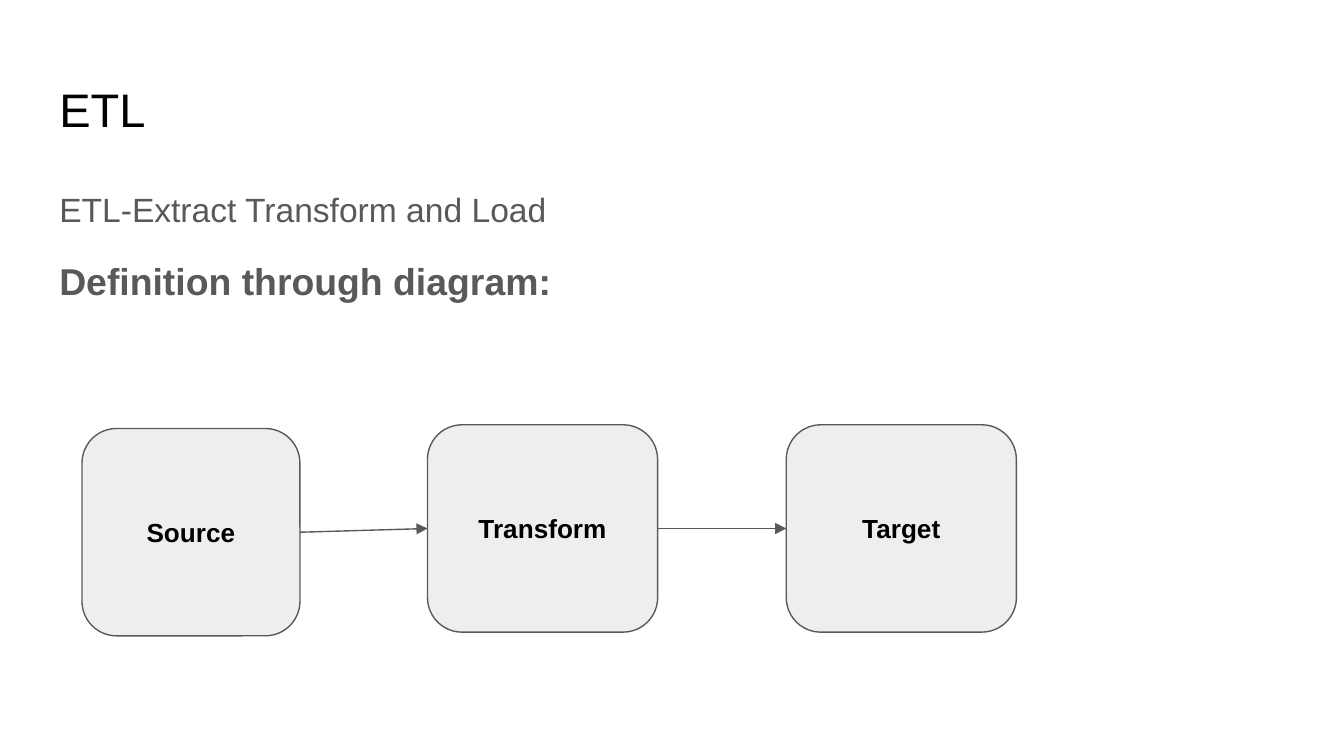
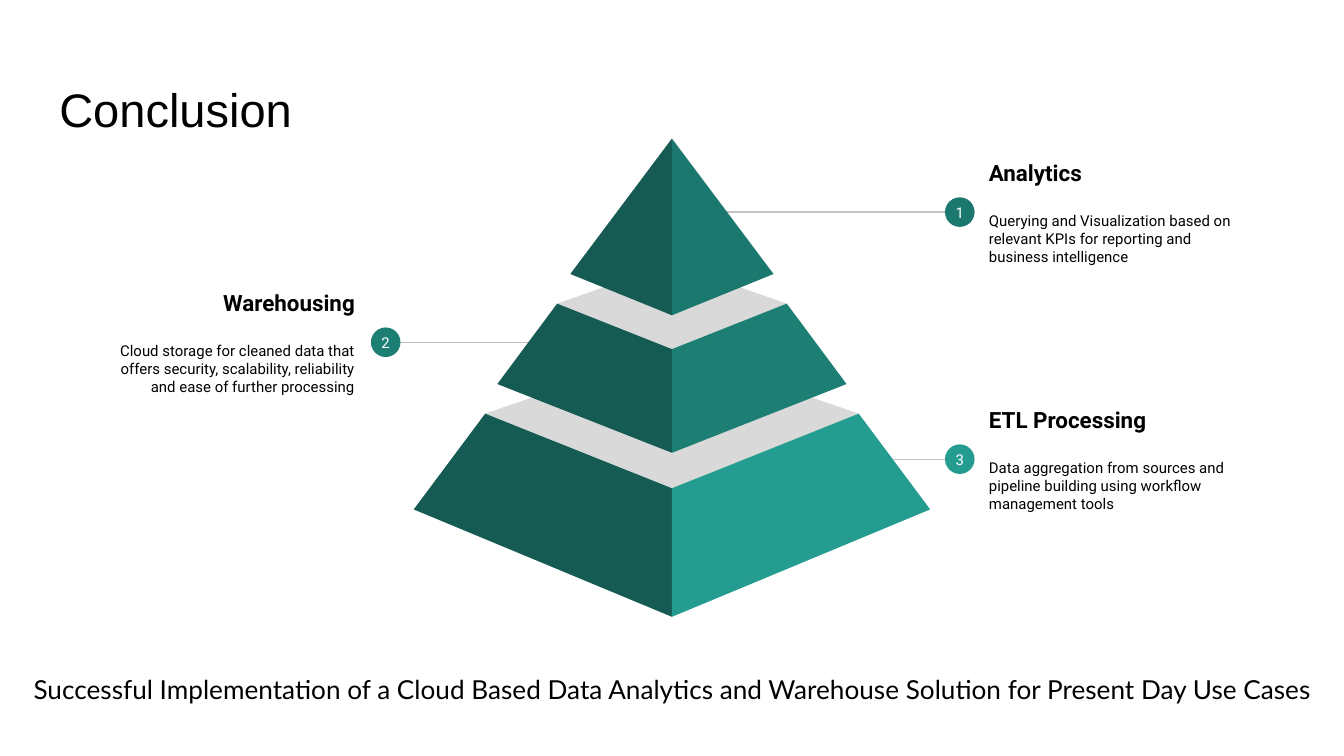
"""Builds two slides: an ETL flow diagram and a pyramid conclusion."""
from lxml import etree
from pptx import Presentation
from pptx import util as u
from pptx.dml.color import RGBColor
from pptx.enum import shapes, text
from pptx.oxml.ns import qn

COLORS = {
    "black": "000000", "white": "FFFFFF", "grey": "595959", "box": "EEEEEE",
    "rule": "C2C2C2", "cap": "D9D9D9", "dark": "155B54",
    "top": "1B786E", "middle": "1D7E74", "base": "249C90",
}
CENTER = 12.7
INSET = 0.25
LEFT, MID, RIGHT = text.PP_ALIGN.LEFT, text.PP_ALIGN.CENTER, text.PP_ALIGN.RIGHT

STEPS = [("Source", 1.55, 8.1, 4.12), ("Transform", 8.08, 8.03, 4.35),
         ("Target", 14.86, 8.03, 4.35)]

# Offsets are (distance from the centre line, height on the slide).
TIERS = [
    ("base", [(3.53, 7.82), (4.88, 9.63), (0, 11.66), (0, 9.23)], 6.6),
    ("middle", [(2.17, 5.74), (3.3, 7.26), (0, 8.56), (0, 6.6)], 4.98),
    ("top", [(0, 2.62), (1.92, 5.18), (0, 5.96)], None),
]

NOTES = [
    ("3", "base", 8.68, 16.76, RIGHT, "ETL Processing",
     "Data aggregation from sources and pipeline building using workflow "
     "management tools"),
    ("2", "middle", 6.47, 10.08, LEFT, "Warehousing",
     "Cloud storage for cleaned data that offers security, scalability, "
     "reliability and ease of further processing"),
    ("1", "top", 4.01, 13.64, RIGHT, "Analytics",
     "Querying and Visualization based on relevant KPIs for reporting and "
     "business intelligence"),
]


def rgb(name):
    """Return the named colour."""
    return RGBColor.from_string(COLORS[name])


def place(sp, x, y, w, h):
    """Move and size a shape, in centimetres."""
    sp.left, sp.top, sp.width, sp.height = (u.Cm(v) for v in (x, y, w, h))


def setup_frame(sp, anchor, inset=INSET):
    """Set wrapping, anchor and insets, and return the text frame."""
    tf = sp.text_frame
    tf.word_wrap = True
    tf.auto_size = text.MSO_AUTO_SIZE.NONE
    tf.vertical_anchor = anchor
    tf.margin_left = tf.margin_right = u.Cm(inset)
    tf.margin_top = tf.margin_bottom = u.Cm(inset)
    return tf


def write(p, words, size, font="Arial", color="black", bold=False,
          align=LEFT, before=0, spacing=1.0):
    """Fill a paragraph with one formatted run."""
    p.alignment = align
    p.space_before = u.Pt(before)
    p.line_spacing = spacing
    r = p.add_run()
    r.text = words
    r.font.size, r.font.name, r.font.bold = u.Pt(size), font, bold
    r.font.color.rgb = rgb(color)


def paint(sp, fill, line=None):
    """Give a shape a flat fill and an optional outline."""
    sp.shadow.inherit = False
    sp.fill.solid()
    sp.fill.fore_color.rgb = rgb(fill)
    if line:
        sp.line.color.rgb = rgb(line)
        sp.line.width = u.Pt(0.75)
    else:
        sp.line.fill.background()


def add_slide(prs, layout, title):
    """Add a slide with the shared title style."""
    s = prs.slides.add_slide(prs.slide_layouts[layout])
    place(s.shapes.title, 0.87, 1.25, 23.67, 1.6)
    tf = setup_frame(s.shapes.title, text.MSO_ANCHOR.MIDDLE)
    write(tf.paragraphs[0], title, 25.2)
    return s


def add_body(s, items):
    """Fill the body placeholder with plain (words, size, bold) lines."""
    sp = s.placeholders[1]
    place(sp, 0.87, 3.2, 23.67, 9.5)
    tf = setup_frame(sp, text.MSO_ANCHOR.TOP)
    for i, (words, size, bold) in enumerate(items):
        p = tf.add_paragraph() if i else tf.paragraphs[0]
        pPr = p._p.get_or_add_pPr()
        pPr.set("marL", "0")
        pPr.set("indent", "0")
        etree.SubElement(pPr, qn("a:buNone"))
        write(p, words, size, color="grey", bold=bold,
              before=12 if i else 0, spacing=1.15)


def add_textbox(s, x, y, w, h, anchor):
    """Add a text box and return its frame."""
    return setup_frame(
        s.shapes.add_textbox(u.Cm(x), u.Cm(y), u.Cm(w), u.Cm(h)), anchor)


def add_step(s, words, x, y, w):
    """Add one rounded box of the flow."""
    sp = s.shapes.add_shape(shapes.MSO_SHAPE.ROUNDED_RECTANGLE,
                            u.Cm(x), u.Cm(y), u.Cm(w), u.Cm(3.92))
    paint(sp, "box", "grey")
    tf = setup_frame(sp, text.MSO_ANCHOR.MIDDLE)
    write(tf.paragraphs[0], words, 14, bold=True, align=MID)
    return sp


def add_line(s, color, x1=0, y1=0, x2=0, y2=0):
    """Add a thin straight connector."""
    sp = s.shapes.add_connector(shapes.MSO_CONNECTOR.STRAIGHT,
                                u.Cm(x1), u.Cm(y1), u.Cm(x2), u.Cm(y2))
    sp.line.color.rgb = rgb(color)
    sp.line.width = u.Pt(0.75)
    etree.SubElement(sp._element.spPr, qn("a:effectLst"))
    return sp


def add_arrow(s, start, end):
    """Join the right side of one box to the left side of the next."""
    sp = add_line(s, "grey")
    sp.begin_connect(start, 3)
    sp.end_connect(end, 1)
    etree.SubElement(sp.line._get_or_add_ln(), qn("a:tailEnd"),
                     type="triangle")


def add_polygon(s, points, fill):
    """Add a closed outline through points in centimetres."""
    start, *rest = [(u.Cm(x), u.Cm(y)) for x, y in points]
    fb = s.shapes.build_freeform(*start)
    fb.add_line_segments(rest, close=True)
    paint(fb.convert_to_shape(), fill)


def add_tier(s, color, face, back):
    """Add one pyramid tier: a grey cap, if any, and two mirrored faces."""
    if back:
        half, y = face[0]
        add_polygon(s, [(CENTER - half, y), (CENTER, face[-1][1]),
                        (CENTER + half, y), (CENTER, back)], "cap")
    for side, fill in ((-1, "dark"), (1, color)):
        add_polygon(s, [(CENTER + side * dx, y) for dx, y in face], fill)


def add_note(s, number, color, y, line_x, side, heading, words):
    """Add a rule, a numbered badge and its label at height y."""
    size, label_h = 0.56, 3.84
    badge_x, label_x = (17.86, 18.44) if side == RIGHT else (7.01, 1.78)
    align = LEFT if side == RIGHT else RIGHT
    add_line(s, "rule", line_x, y, badge_x + size / 2, y)
    tf = add_textbox(s, label_x, y - label_h / 2, 5.18, label_h,
                     text.MSO_ANCHOR.MIDDLE)
    write(tf.paragraphs[0], heading, 12, "Roboto", bold=True, align=align)
    write(tf.add_paragraph(), words, 8, "Roboto", align=align, before=14)
    sp = s.shapes.add_shape(shapes.MSO_SHAPE.OVAL, u.Cm(badge_x),
                            u.Cm(y - size / 2), u.Cm(size), u.Cm(size))
    paint(sp, color)
    tf = setup_frame(sp, text.MSO_ANCHOR.MIDDLE, 0)
    write(tf.paragraphs[0], number, 8, "Roboto", "white", align=MID)


def build_etl(prs):
    """Build the flow diagram slide."""
    s = add_slide(prs, 1, "ETL")
    add_body(s, [("ETL-Extract Transform and Load", 18, False),
                 ("Definition through diagram:", 20, True)])
    boxes = [add_step(s, *step) for step in STEPS]
    for start, end in zip(boxes, boxes[1:]):
        add_arrow(s, start, end)


def build_conclusion(prs):
    """Build the pyramid slide."""
    s = add_slide(prs, 5, "Conclusion")
    tf = add_textbox(s, 0.23, 12.47, 24.97, 1.12, text.MSO_ANCHOR.TOP)
    write(tf.paragraphs[0], "Successful Implementation of a Cloud Based Data "
          "Analytics and Warehouse Solution for Present Day Use Cases",
          14, "Lato", align=MID)
    for note in NOTES:
        add_note(s, *note)
    for tier in TIERS:
        add_tier(s, *tier)


def main():
    """Build and save the presentation."""
    prs = Presentation()
    prs.slide_width, prs.slide_height = u.Cm(25.4), u.Cm(14.29)
    build_etl(prs)
    build_conclusion(prs)
    prs.save("out.pptx")


if __name__ == "__main__":
    main()
